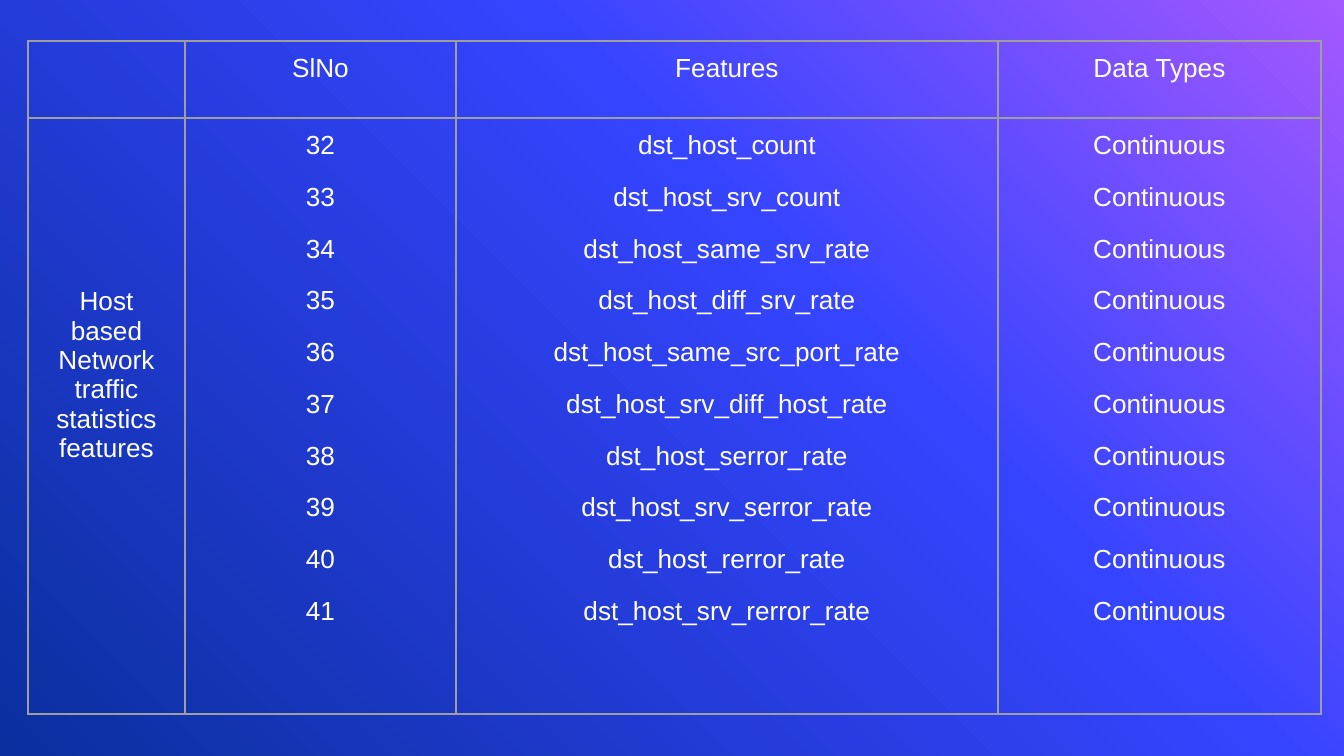
import copy

import pptx
import pptx.dml.color
import pptx.enum.text
import pptx.oxml
import pptx.oxml.ns
import pptx.util
from lxml import etree

# Content
HEADERS = ["", "SlNo", "Features", "Data Types"]
GROUP = "Host based Network traffic statistics features"
FIRST_NUMBER = 32
FEATURES = [
    "dst_host_count",
    "dst_host_srv_count",
    "dst_host_same_srv_rate",
    "dst_host_diff_srv_rate",
    "dst_host_same_src_port_rate",
    "dst_host_srv_diff_host_rate",
    "dst_host_serror_rate",
    "dst_host_srv_serror_rate",
    "dst_host_rerror_rate",
    "dst_host_srv_rerror_rate",
]
DATA_TYPE = "Continuous"

THEME = {
    "font": "Arial",
    "size": 14,
    "space": 12,
    "text": "FFFFFF",
    "border": "9E9E9E",
    "border_width": 0.75,
    "gradient": [(0, "A458FF"), (0.39, "3544FF"), (1, "0A2F9E")],
    "gradient_angle": 225,
}

# Layout in px
PAGE = (1344, 756)
LEFT, TOP = 28, 41
COLUMNS = [157, 271, 542, 323]
ROWS = [77, 596]
MARGIN = 13
GROUP_DROP = 156


def px(length):
    return pptx.util.Emu(round(length * 914400 / 134.4))


def color(code):
    return pptx.dml.color.RGBColor.from_string(code)


def paint_background(page):
    fill = page.background.fill
    fill.gradient()
    stops = page.element.find(".//" + pptx.oxml.ns.qn("a:gsLst"))
    stops.insert(1, copy.deepcopy(stops[0]))
    for stop, (position, code) in zip(fill.gradient_stops, THEME["gradient"]):
        stop.position = position
        stop.color.rgb = color(code)
    fill.gradient_angle = THEME["gradient_angle"]


def add_borders(cell):
    properties = cell._tc.get_or_add_tcPr()
    for side in ("lnL", "lnR", "lnT", "lnB"):
        line = etree.SubElement(properties, pptx.oxml.ns.qn("a:" + side))
        line.set("w", str(pptx.util.Pt(THEME["border_width"])))
        solid = etree.SubElement(line, pptx.oxml.ns.qn("a:solidFill"))
        etree.SubElement(solid, pptx.oxml.ns.qn("a:srgbClr")).set("val", THEME["border"])


def fill_cell(cell, lines, drop=0):
    add_borders(cell)
    cell.fill.background()
    cell.margin_left = cell.margin_right = cell.margin_bottom = px(MARGIN)
    cell.margin_top = px(MARGIN + drop)
    frame = cell.text_frame
    for index, line in enumerate(lines):
        paragraph = frame.add_paragraph() if index else frame.paragraphs[0]
        paragraph.text = line
        paragraph.alignment = pptx.enum.text.PP_ALIGN.CENTER
        if index:
            paragraph.space_before = pptx.util.Pt(THEME["space"])
        paragraph.font.name = THEME["font"]
        paragraph.font.size = pptx.util.Pt(THEME["size"])
        paragraph.font.color.rgb = color(THEME["text"])


def main():
    deck = pptx.Presentation()
    deck.slide_width, deck.slide_height = map(px, PAGE)
    page = deck.slides.add_slide(deck.slide_layouts[6])
    paint_background(page)

    # Table grid
    table = page.shapes.add_table(
        len(ROWS), len(COLUMNS), px(LEFT), px(TOP), px(sum(COLUMNS)), px(sum(ROWS))
    ).table
    table.first_row = table.horz_banding = False
    for column, width in zip(table.columns, COLUMNS):
        column.width = px(width)
    for row, height in zip(table.rows, ROWS):
        row.height = px(height)

    # Header row, then one tall row with a list in each cell
    numbers = [str(FIRST_NUMBER + index) for index in range(len(FEATURES))]
    body = [[GROUP], numbers, FEATURES, [DATA_TYPE] * len(FEATURES)]
    for index, (header, lines) in enumerate(zip(HEADERS, body)):
        fill_cell(table.cell(0, index), [header])
        fill_cell(table.cell(1, index), lines, 0 if index else GROUP_DROP)

    deck.save("out.pptx")


if __name__ == "__main__":
    main()
